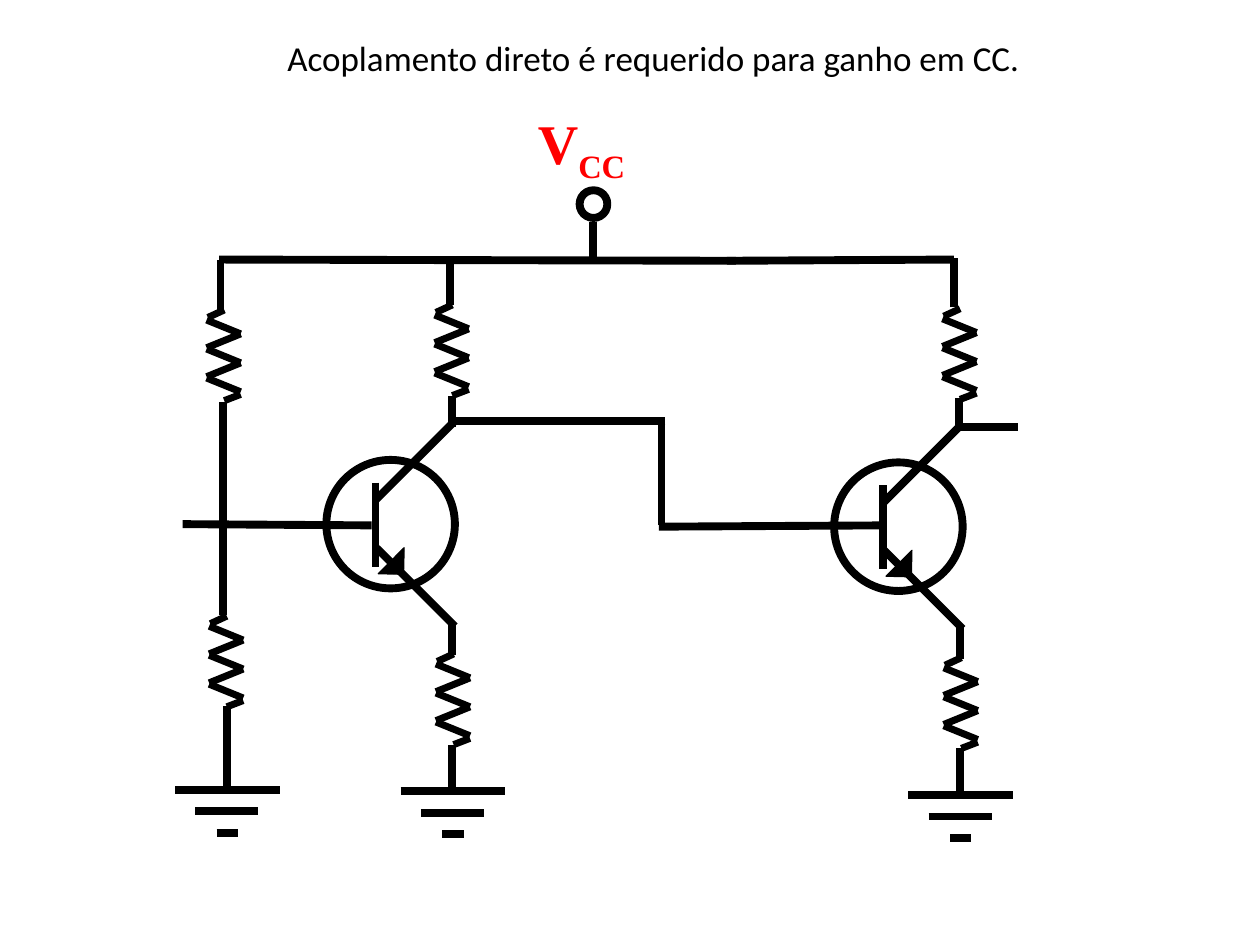
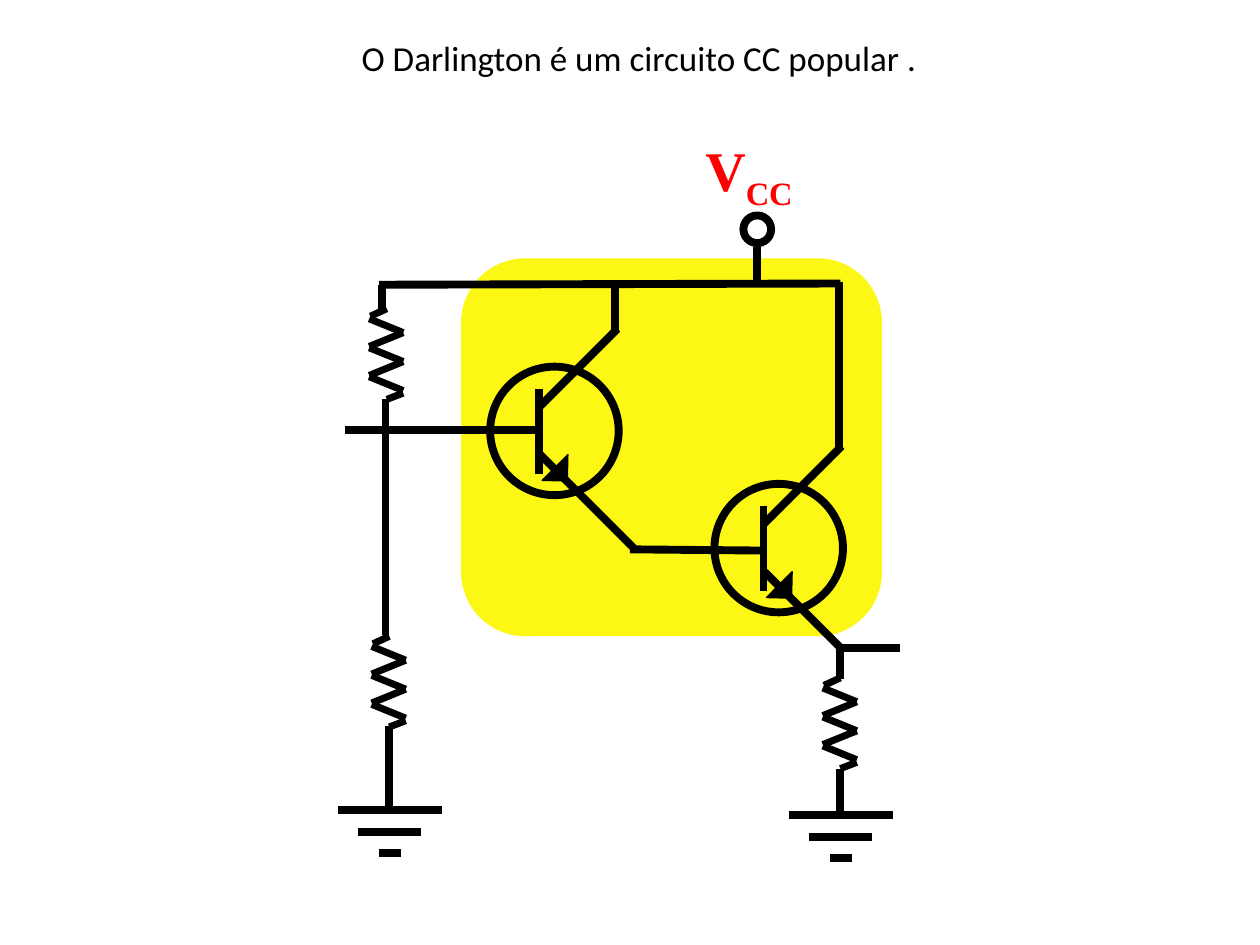
from lxml import etree
from pptx import Presentation
from pptx import util as u
from pptx.dml.color import RGBColor
from pptx.enum import shapes, text
from pptx.oxml.ns import qn

EMU_PER_PX = 9144  # 100 px to the inch
BLACK, RED, YELLOW = "000000", "FF0000", "FDF715"
WIRE_WEIGHT, RESISTOR_WEIGHT = 4.5, 4
TITLE_TOP, TITLE_HEIGHT = 24, 44
TRANSISTOR_SIZE, TERMINAL_SIZE = 102, 22


def px(length):
    return u.Emu(length * EMU_PER_PX)


def colour(hex_string):
    return RGBColor.from_string(hex_string)


# Text
def add_run(paragraph, content, font="Calibri", size=20, fill=BLACK, bold=False, baseline=0):
    run = paragraph.add_run()
    run.text = content
    run.font.name = font
    run.font.size = u.Pt(size)
    run.font.bold = bold
    run.font.color.rgb = colour(fill)
    if baseline:
        run._r.get_or_add_rPr().set("baseline", str(baseline * 1000))


def add_titled_slide(presentation, title, left, width):
    slide = presentation.slides.add_slide(presentation.slide_layouts[5])
    shape = slide.shapes.title
    shape.left, shape.top = px(left), px(TITLE_TOP)
    shape.width, shape.height = px(width), px(TITLE_HEIGHT)
    frame = shape.text_frame
    frame.word_wrap = False
    frame.auto_size = text.MSO_AUTO_SIZE.NONE
    frame.vertical_anchor = text.MSO_ANCHOR.TOP
    frame.paragraphs[0].alignment = text.PP_ALIGN.LEFT
    add_run(frame.paragraphs[0], title)
    return slide


# Basic drawing elements
def add_line(parent, x1, y1, x2, y2, weight=WIRE_WEIGHT):
    connector = parent.shapes.add_connector(
        shapes.MSO_CONNECTOR.STRAIGHT, px(x1), px(y1), px(x2), px(y2))
    connector.line.color.rgb = colour(BLACK)
    connector.line.width = u.Pt(weight)
    etree.SubElement(connector._element.spPr, qn("a:effectLst"))


def add_preset(slide, kind, left, top, width, height, fill=None, weight=0):
    shape = slide.shapes.add_shape(kind, px(left), px(top), px(width), px(height))
    shape.shadow.inherit = False
    if fill:
        shape.fill.solid()
        shape.fill.fore_color.rgb = colour(fill)
    else:
        shape.fill.background()
    if weight:
        shape.line.color.rgb = colour(BLACK)
        shape.line.width = u.Pt(weight)
    else:
        shape.line.fill.background()
    return shape


def add_circle(slide, left, top, size):
    add_preset(slide, shapes.MSO_SHAPE.OVAL, left, top, size, size, weight=WIRE_WEIGHT)


# Circuit components, each placed by its left and top
def add_resistor(slide, left, top):
    group = slide.shapes.add_group_shape()
    right, middle = left + 27, left + 14
    turns = [top + offset for offset in (8, 31, 54)]
    for y in turns:
        add_line(group, right, y + 11, left, y, RESISTOR_WEIGHT)
    for y in turns[1:]:
        add_line(group, left, y - 1, right, y - 12, RESISTOR_WEIGHT)
    add_line(group, left + 1, top + 6, middle, top, RESISTOR_WEIGHT)
    add_line(group, middle, top + 72, right, top + 67, RESISTOR_WEIGHT)


def add_ground(slide, left, top):
    group = slide.shapes.add_group_shape()
    for step, width in enumerate((83, 50, 17)):
        start, y = left + (83 - width) // 2, top + 17 * step
        add_line(group, start, y, start + width, y)


def add_transistor(slide, left, top, emitter_reach=62):
    add_circle(slide, left, top, TRANSISTOR_SIZE)
    base, emitter_x, emitter_y = left + 39, left + 40, top + 70
    add_line(slide, emitter_x, emitter_y, emitter_x + emitter_reach, emitter_y + emitter_reach)
    arrow = add_preset(slide, shapes.MSO_SHAPE.RIGHT_TRIANGLE, left + 41, emitter_y, 21, 20,
                       fill=BLACK, weight=0.75)
    arrow.rotation = 271.3
    add_line(slide, base, top + 32, base + 62, top - 30)
    add_line(slide, base, top + 18, base, top + 85)


def add_supply(slide, label, terminal):
    box = slide.shapes.add_textbox(*map(px, (*label, 95, 58)))
    box.text_frame.word_wrap = False
    for content, baseline in (("V", 0), ("CC", -25)):
        add_run(box.text_frame.paragraphs[0], content, font="Times New Roman", size=32,
                fill=RED, bold=True, baseline=baseline)
    left, top = terminal
    add_circle(slide, left, top, TERMINAL_SIZE)
    add_line(slide, left + 11, top + 25, left + 11, top + 53)


def add_circuit(slide, resistors, grounds, wires):
    for place in resistors:
        add_resistor(slide, *place)
    for place in grounds:
        add_ground(slide, *place)
    for ends in wires:
        add_line(slide, *ends)


# Slides
def build_direct_coupling(presentation):
    slide = add_titled_slide(
        presentation, "Acoplamento direto é requerido para ganho em CC.", 218, 606)
    add_supply(slide, label=(417, 81), terminal=(460, 151))
    add_transistor(slide, 259, 365)
    add_transistor(slide, 662, 367)
    add_circuit(
        slide,
        resistors=[(164, 246), (166, 489), (345, 242), (346, 519), (748, 245), (749, 522)],
        grounds=[(139, 627), (318, 628), (721, 631)],
        wires=[
            # Supply rail and its drops
            (174, 206, 584, 207), (577, 207, 757, 206),
            (175, 206, 175, 247), (357, 242, 357, 209), (757, 244, 757, 205),
            # Input divider
            (295, 417, 145, 416), (177, 319, 177, 488), (180, 560, 180, 626),
            # First stage
            (359, 314, 359, 339), (359, 495, 359, 520), (359, 591, 359, 629),
            # Coupling to the second stage
            (528, 334, 356, 334), (525, 333, 525, 417), (701, 417, 523, 418),
            # Second stage and output
            (761, 316, 761, 341), (762, 498, 762, 523), (762, 594, 762, 631),
            (761, 339, 808, 339),
        ])


def build_darlington(presentation):
    slide = add_titled_slide(presentation, "O Darlington é um circuito CC popular .", 277, 473)
    highlight = add_preset(slide, shapes.MSO_SHAPE.ROUNDED_RECTANGLE, 366, 205, 334, 300,
                           fill=YELLOW)
    highlight.adjustments[0] = 0.17
    add_supply(slide, label=(550, 103), terminal=(590, 171))
    add_transistor(slide, 389, 291, emitter_reach=74)
    add_transistor(slide, 567, 384)
    add_circuit(
        slide,
        resistors=[(293, 245), (295, 505), (653, 538)],
        grounds=[(268, 643), (626, 647)],
        wires=[
            # Supply rail and its drops
            (301, 226, 667, 225),
            (303, 248, 303, 226), (488, 263, 488, 226), (666, 356, 666, 224),
            # Input divider
            (425, 341, 274, 341), (306, 317, 306, 504), (309, 576, 309, 643),
            # First emitter to second base
            (607, 437, 500, 436),
            # Second emitter and output
            (667, 514, 667, 539), (667, 610, 667, 648), (668, 514, 714, 514),
        ])


def main():
    presentation = Presentation()
    presentation.slide_width, presentation.slide_height = px(1000), px(750)
    build_direct_coupling(presentation)
    build_darlington(presentation)
    presentation.save("out.pptx")


if __name__ == "__main__":
    main()
